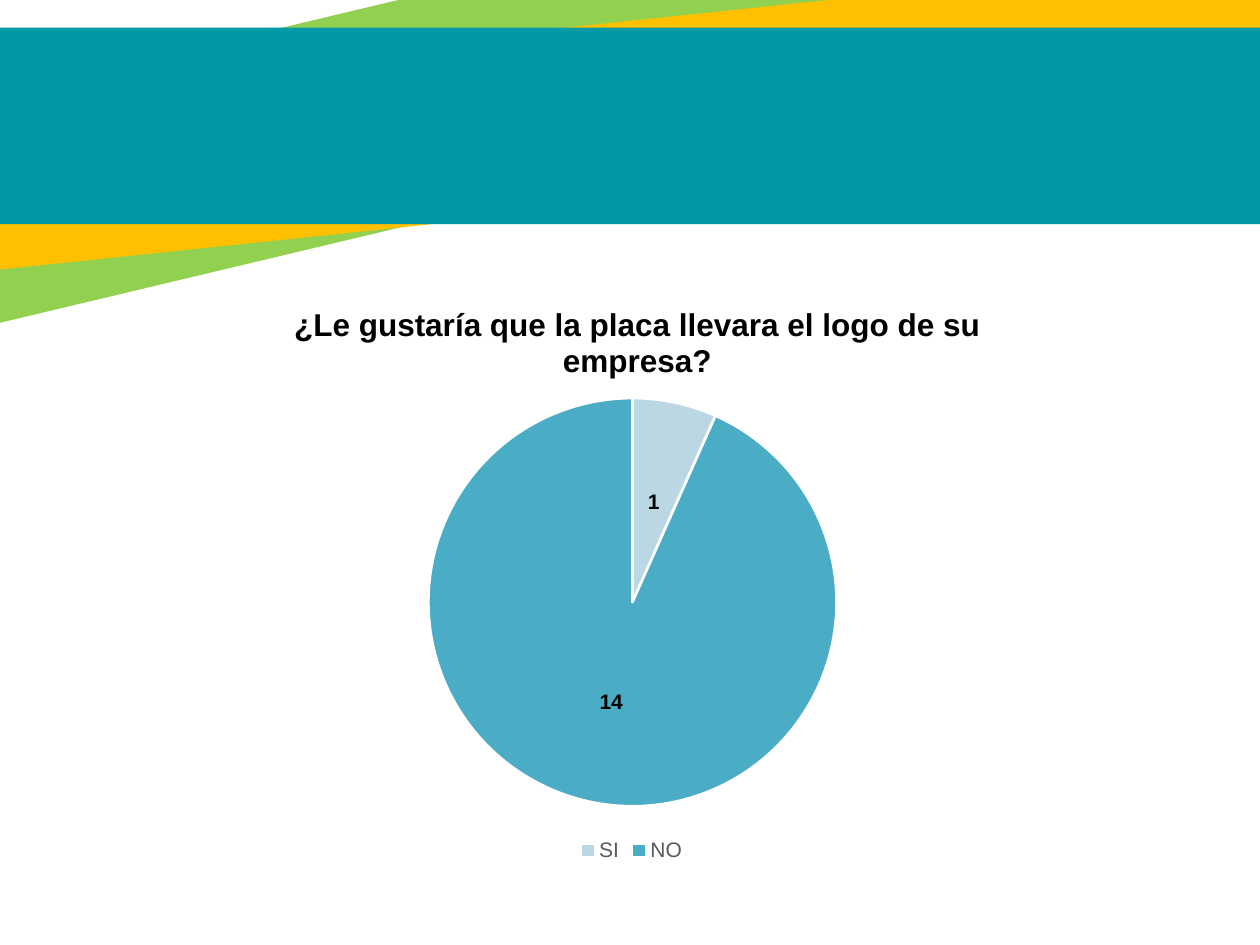
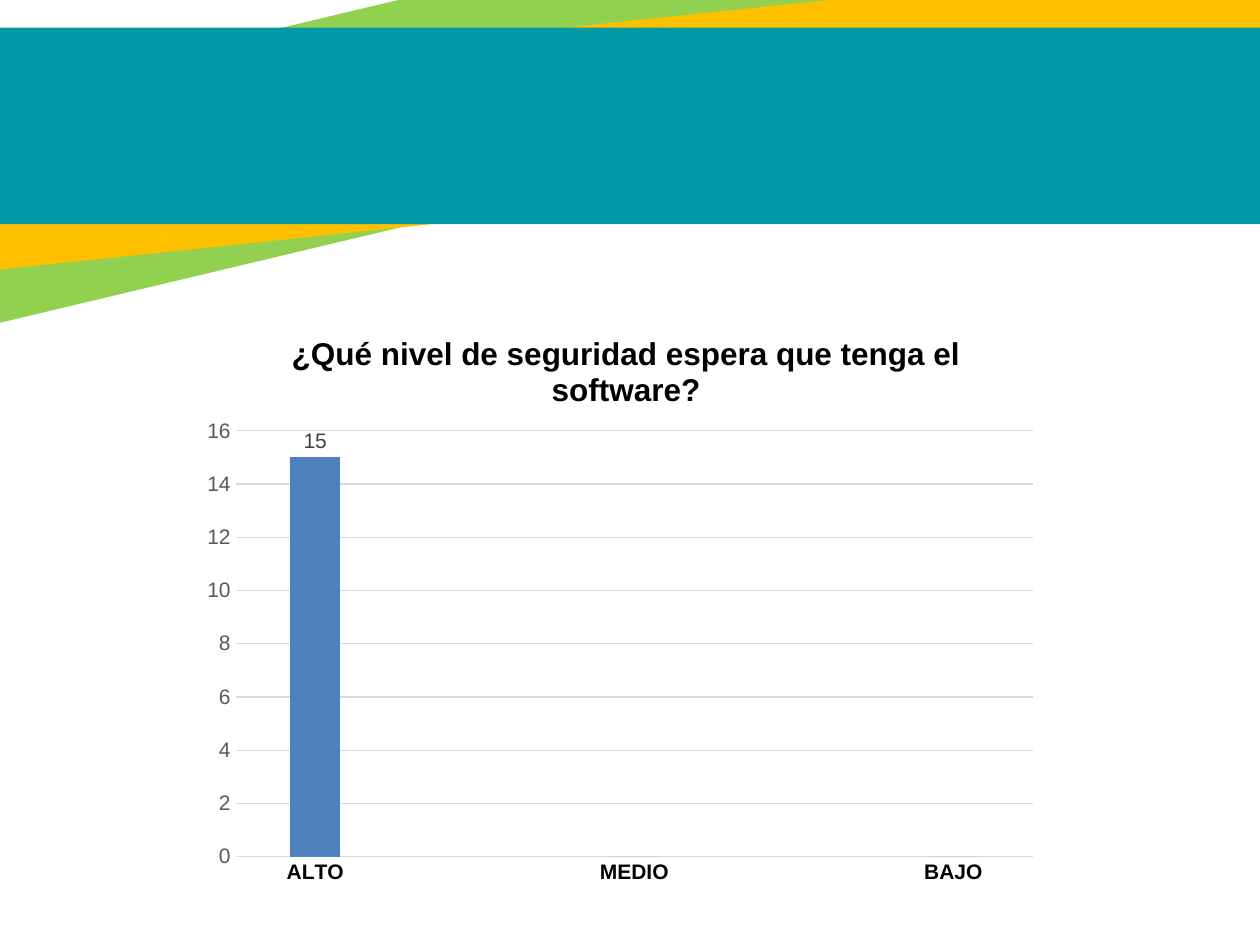
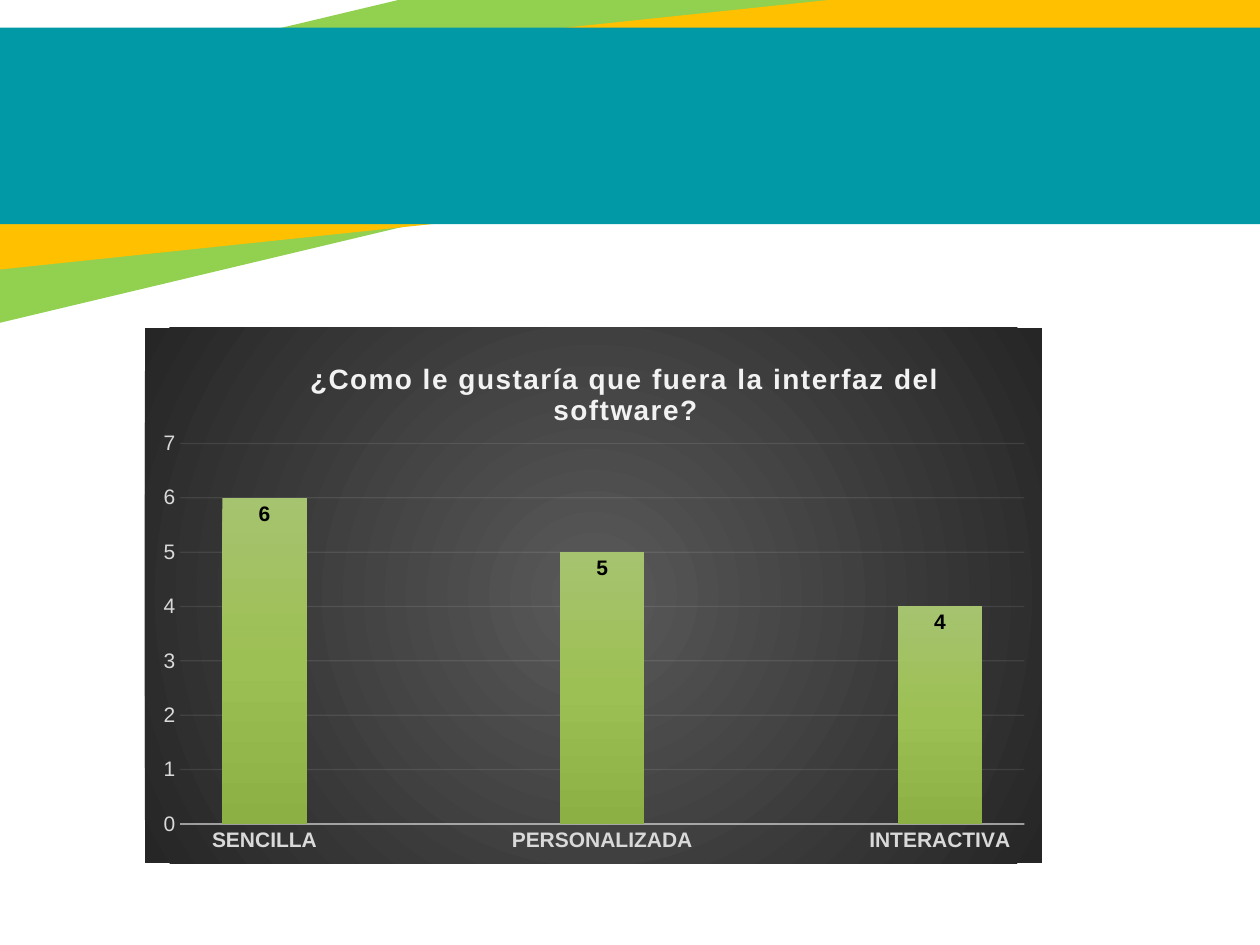
from collections import namedtuple
from dataclasses import dataclass

from lxml.etree import SubElement
from pptx import Presentation
from pptx.chart.data import CategoryChartData
from pptx.dml.color import RGBColor
from pptx.enum.chart import XL_CHART_TYPE, XL_LABEL_POSITION, XL_LEGEND_POSITION, XL_TICK_MARK
from pptx.enum.shapes import MSO_SHAPE
from pptx.oxml import parse_xml
from pptx.oxml.ns import nsdecls, qn
from pptx.util import Inches, Pt

COLUMNS, ROWS = 10, 7.5
SLIDE_WIDTH, SLIDE_HEIGHT = Inches(10), Inches(7.5)

Box = namedtuple("Box", "left top width height")


@dataclass(frozen=True)
class Theme:
    """Colours, type sizes and fonts shared by the slides."""
    green: str = "92D050"
    yellow: str = "FFC000"
    teal: str = "0099A5"
    white: str = "FFFFFF"
    black: str = "000000"
    gray: str = "595959"
    label_gray: str = "404040"
    light_gray: str = "D9D9D9"
    pale_gray: str = "F2F2F2"
    bar_blue: str = "4F81BD"
    slices: tuple = ("BBD7E3", "92C3D5", "4BACC6")
    bar_gradient: tuple = ((0, "A6C36F"), (50, "9DC054"), (100, "8DB045"))
    dark_gradient: tuple = ((0, "595959"), (100, "262626"))
    font: str = "Arial"
    base_font: str = "Calibri"
    title_size: int = 18
    dark_title_size: int = 16
    label_size: int = 12
    base_size: int = 10


THEME = Theme()
BANDS = (
    (Box(-2.51, -0.18, 13.06, 1.76), 346.6, THEME.green),
    (Box(-1.1, 0.2, 11.63, 1.44), 354, THEME.yellow),
    (Box(-1.06, 0.22, 11.63, 1.56), 0, THEME.teal),
)


def on_grid(box):
    """Turn a box in columns and rows into slide lengths."""
    column, row = SLIDE_WIDTH / COLUMNS, SLIDE_HEIGHT / ROWS
    return (round(box.left * column), round(box.top * row),
            round(box.width * column), round(box.height * row))


def style_font(font, size, color, bold=False, name=THEME.font):
    """Give a font its face, size, weight and colour."""
    font.name, font.size, font.bold = name, Pt(size), bold
    font.color.rgb = RGBColor.from_string(color)


def style_line(line, color, width, opacity=100):
    """Give a line its colour, width in points and opacity in percent."""
    line.color.rgb = RGBColor.from_string(color)
    line.width = Pt(width)
    if opacity < 100:
        color_element = line._get_or_add_ln().find(".//" + qn("a:srgbClr"))
        SubElement(color_element, qn("a:alpha"), val=str(opacity * 1000))


def gradient(stops, direction):
    """Build a gradient fill from (percent, colour) stops."""
    marks = "".join(
        f'<a:gs pos="{percent * 1000}"><a:srgbClr val="{color}"/></a:gs>'
        for percent, color in stops)
    return parse_xml(f'<a:gradFill {nsdecls("a")} rotWithShape="1">'
                     f'<a:gsLst>{marks}</a:gsLst>{direction}</a:gradFill>')


def add_slide(presentation):
    """Add a blank slide with the crossed header bands."""
    slide = presentation.slides.add_slide(presentation.slide_layouts[6])
    for box, rotation, color in BANDS:
        shape = slide.shapes.add_shape(MSO_SHAPE.RECTANGLE, *on_grid(box))
        shape.rotation = rotation
        shape.shadow.inherit = False
        shape.fill.solid()
        shape.fill.fore_color.rgb = RGBColor.from_string(color)
        shape.line.fill.background()
    return slide


def set_layout(parent, frame, box, inner=False):
    """Fix a chart part at a place given on the slide's grid."""
    layout = parent.find(qn("c:layout"))
    if layout is None:
        layout = parse_xml(f'<c:layout {nsdecls("c")}/>')
        parent.insert(0, layout)
    manual = SubElement(layout, qn("c:manualLayout"))
    settings = [("xMode", "edge"), ("yMode", "edge"),
                ("x", (box.left - frame.left) / frame.width),
                ("y", (box.top - frame.top) / frame.height)]
    if inner:
        settings.insert(0, ("layoutTarget", "inner"))
        settings += [("w", box.width / frame.width), ("h", box.height / frame.height)]
    for tag, value in settings:
        SubElement(manual, qn("c:" + tag), val=str(value))


def set_background(chart, fill):
    """Fill the whole chart area and leave out its border."""
    properties = parse_xml(f'<c:spPr {nsdecls("c", "a")}><a:ln><a:noFill/></a:ln></c:spPr>')
    properties.insert(0, fill)
    chart._chartSpace.find(qn("c:chart")).addnext(properties)


def add_chart(slide, kind, frame, plot_box, categories, values):
    """Add a chart of one series with a fixed plot area."""
    data = CategoryChartData()
    data.categories = categories
    data.add_series("Series 1", values)
    chart = slide.shapes.add_chart(kind, *on_grid(frame), data).chart
    style_font(chart.font, THEME.base_size, THEME.black, name=THEME.base_font)
    chart.has_legend = False
    set_layout(chart._chartSpace.find(".//" + qn("c:plotArea")), frame, plot_box, inner=True)
    return chart


def add_title(chart, frame, text, left, top, size=THEME.title_size,
              color=THEME.black, spacing=0):
    """Write the chart's question at a place on the slide's grid."""
    chart.has_title = True
    title = chart.chart_title
    paragraph = title.text_frame.paragraphs[0]
    paragraph.text = text
    font = paragraph.runs[0].font
    style_font(font, size, color, bold=True)
    if spacing:
        font._element.set("spc", str(spacing * 100))
    set_layout(title._element, frame, Box(left, top, 0, 0))


def show_values(plot, position):
    """Show bold values on every point of a plot."""
    plot.has_data_labels = True
    labels = plot.data_labels
    labels.show_value = True
    labels.position = position
    style_font(labels.font, THEME.label_size, THEME.black, bold=True)


def label_point(point, text_color):
    """Show the value of one point above its bar."""
    label = point.data_label
    style_font(label.font, THEME.label_size, text_color)
    label.position = XL_LABEL_POSITION.OUTSIDE_END


def style_columns(chart, gap, overlap, maximum, step, category_color, value_color,
                  axis_line, grid_line):
    """Set bar spacing, scale, axis text and lines."""
    plot = chart.plots[0]
    plot.vary_by_categories = False
    plot.gap_width, plot.overlap = gap, overlap
    category_axis, value_axis = chart.category_axis, chart.value_axis
    for axis, color, bold in ((category_axis, category_color, True),
                              (value_axis, value_color, False)):
        axis.major_tick_mark = axis.minor_tick_mark = XL_TICK_MARK.NONE
        style_font(axis.tick_labels.font, THEME.label_size, color, bold)
    style_line(category_axis.format.line, *axis_line)
    value_axis.minimum_scale, value_axis.maximum_scale = 0, maximum
    value_axis.major_unit = step
    value_axis.format.line.fill.background()
    value_axis.has_major_gridlines = True
    style_line(value_axis.major_gridlines.format.line, *grid_line)


def no_fill():
    """Build an empty fill."""
    return parse_xml(f'<a:noFill {nsdecls("a")}/>')


def add_logo_slide(presentation):
    """Pie of the answers about the logo on the plate."""
    frame = Box(1.3, 2.15, 7.43, 4.73)
    chart = add_chart(add_slide(presentation), XL_CHART_TYPE.PIE, frame,
                      Box(3.4, 3.16, 3.24, 3.24), ("SI", "", "NO"), (1, None, 14))
    set_background(chart, no_fill())
    add_title(chart, frame, "¿Le gustaría que la placa llevara el logo de su empresa?",
              2.29, 2.37)
    plot = chart.plots[0]
    plot.vary_by_categories = True
    for index, color in enumerate(THEME.slices):
        slice_format = plot.series[0].points[index].format
        slice_format.fill.solid()
        slice_format.fill.fore_color.rgb = RGBColor.from_string(color)
        style_line(slice_format.line, THEME.white, 1.5)
    show_values(plot, XL_LABEL_POSITION.CENTER)
    chart.has_legend = True
    legend = chart.legend
    legend.position = XL_LEGEND_POSITION.BOTTOM
    legend.include_in_layout = False
    style_font(legend.font, THEME.label_size, THEME.gray)
    blank_entry = parse_xml(f'<c:legendEntry {nsdecls("c")}><c:idx val="1"/>'
                            '<c:delete val="1"/></c:legendEntry>')
    legend._element.find(qn("c:legendPos")).addnext(blank_entry)


def add_security_slide(presentation):
    """Columns of the expected level of security."""
    frame = Box(1.51, 2.38, 6.83, 4.74)
    chart = add_chart(add_slide(presentation), XL_CHART_TYPE.COLUMN_CLUSTERED, frame,
                      Box(1.87, 3.42, 6.33, 3.38),
                      ("ALTO", "", "MEDIO", "", "BAJO"), (15, None, 0, None, 0))
    set_background(chart, no_fill())
    add_title(chart, frame, "¿Qué nivel de seguridad espera que tenga el software?",
              2.27, 2.6)
    style_columns(chart, 219, -27, 16, 2, THEME.black, THEME.gray,
                  (THEME.light_gray, 0.75), (THEME.light_gray, 0.75))
    series = chart.plots[0].series[0]
    series.format.fill.solid()
    series.format.fill.fore_color.rgb = RGBColor.from_string(THEME.bar_blue)
    label_point(series.points[0], THEME.label_gray)


def add_interface_slide(presentation):
    """Dark chart of the preferred interface."""
    frame = Box(1.15, 2.6, 7.12, 4.25)
    chart = add_chart(add_slide(presentation), XL_CHART_TYPE.COLUMN_CLUSTERED, frame,
                      Box(1.43, 3.52, 6.7, 3.02),
                      ("SENCILLA", "", "PERSONALIZADA", "", "INTERACTIVA"),
                      (6, None, 5, None, 4))
    set_background(chart, gradient(
        THEME.dark_gradient,
        '<a:path path="circle"><a:fillToRect l="50000" t="50000" r="50000" b="50000"/></a:path>'))
    add_title(chart, frame, "¿Como le gustaría que fuera la interfaz del software?",
              2.42, 2.83, THEME.dark_title_size, THEME.pale_gray, spacing=1)
    style_columns(chart, 100, -24, 7, 1, THEME.light_gray, THEME.light_gray,
                  (THEME.pale_gray, 1, 54), (THEME.pale_gray, 0.75, 10))
    plot = chart.plots[0]
    plot.series[0]._element.get_or_add_spPr().insert(
        0, gradient(THEME.bar_gradient, '<a:lin ang="5400000" scaled="0"/>'))
    show_values(plot, XL_LABEL_POSITION.INSIDE_END)


def main():
    """Build the three survey slides and save them."""
    presentation = Presentation()
    presentation.slide_width, presentation.slide_height = SLIDE_WIDTH, SLIDE_HEIGHT
    add_logo_slide(presentation)
    add_security_slide(presentation)
    add_interface_slide(presentation)
    presentation.save("out.pptx")


if __name__ == "__main__":
    main()
